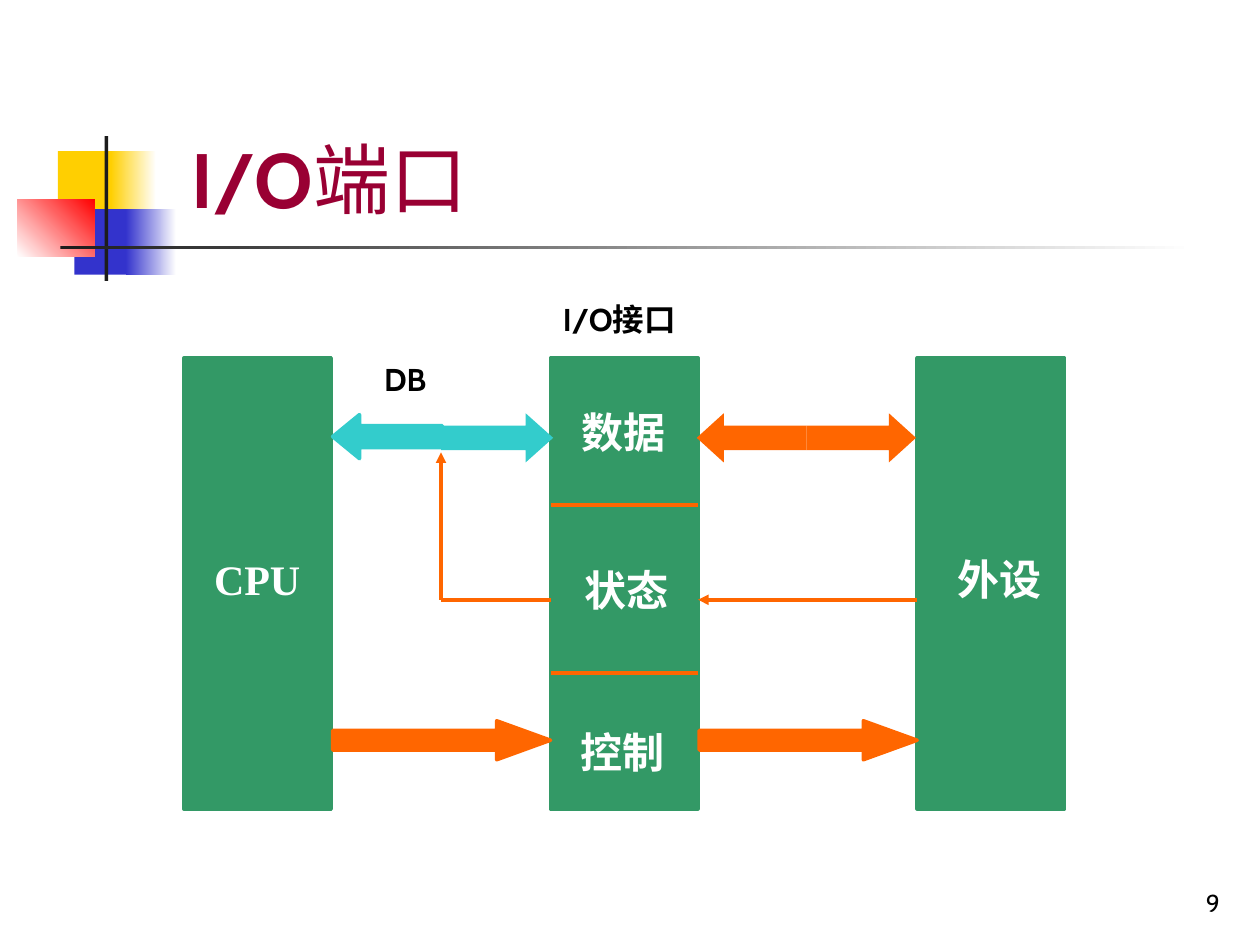
from pptx import Presentation
from pptx.dml.color import RGBColor
from pptx.enum import shapes, text
from pptx.oxml import ns, xmlchemy
from pptx.util import Inches, Pt

WHITE = RGBColor(0xFF, 0xFF, 0xFF)
BLACK = RGBColor(0x00, 0x00, 0x00)
INK = RGBColor(0x1C, 0x1C, 0x1C)
YELLOW = RGBColor(0xFF, 0xCF, 0x01)
BLUE = RGBColor(0x33, 0x33, 0xCC)
RED = RGBColor(0xFF, 0x00, 0x00)
CRIMSON = RGBColor(0x99, 0x00, 0x33)
GREEN = RGBColor(0x33, 0x99, 0x66)
ORANGE = RGBColor(0xFF, 0x66, 0x00)
TEAL = RGBColor(0x33, 0xCC, 0xCC)

SANS, SERIF = "Cabin", "Times New Roman"
RECT = shapes.MSO_SHAPE.RECTANGLE
LEFT = shapes.MSO_SHAPE.LEFT_ARROW
RIGHT = shapes.MSO_SHAPE.RIGHT_ARROW

# Decoration: left, top, width, height, colours (two make a gradient), angle
ORNAMENTS = [
    (0.46, 1.2, 0.48, 0.52, [YELLOW], 0),
    (0.88, 1.2, 0.36, 0.52, [YELLOW, WHITE], 0),
    (0.59, 1.66, 0.46, 0.52, [BLUE], 0),
    (1, 1.66, 0.4, 0.52, [BLUE, WHITE], 0),
    (0.14, 1.58, 0.61, 0.46, [WHITE, RED], 45),
    (0.83, 1.08, 0.03, 1.15, [INK], 0),
    (0.48, 1.95, 9, 0.03, [INK, WHITE], 0),
]

# The three blocks: CPU, interface, peripheral
BLOCK_TOP, BLOCK_W, BLOCK_H = 2.84, 1.17, 3.58
BLOCK_LEFTS = [1.46 + 2.91 * i for i in range(3)]
CPU_X, PORT_X, DEVICE_X = BLOCK_LEFTS
PORT_RIGHT = PORT_X + BLOCK_W
PORT_DIVIDERS = [4.01, 5.34]

BLOCK_LABELS = [
    ("CPU", 1.6, 4.34),
    ("数据", 4.52, 3.18),
    ("状态", 4.54, 4.43),
    ("控制", 4.51, 5.72),
    ("外设", 7.5, 4.34),
]
CAPTIONS = [("I/O接口", 4.37, 2.33, 1.26), ("DB", 2.95, 2.81, 0.86)]

# Status path: start, end, has arrowhead
BUS_X, STATUS_Y = 3.5, 4.76
STATUS_LINES = [
    ((PORT_X, STATUS_Y), (BUS_X, STATUS_Y), False),
    ((DEVICE_X, STATUS_Y), (PORT_RIGHT, STATUS_Y), True),
    ((BUS_X, STATUS_Y), (BUS_X, 3.59), True),
]

# Block arrows: kind, left, top, width, height, head ratio, colour, outlined
ARROWS = [
    (RIGHT, 3.5, 3.28, 0.89, 0.39, 0.56, TEAL, False),
    (LEFT, 5.53, 3.28, 0.87, 0.39, 0.55, ORANGE, False),
    (RIGHT, 6.4, 3.28, 0.87, 0.39, 0.55, ORANGE, False),
    (LEFT, 2.64, 3.29, 0.87, 0.35, 0.61, TEAL, True),
    (RIGHT, 2.64, 5.72, 1.73, 0.31, 1.38, ORANGE, True),
    (RIGHT, 5.55, 5.72, 1.73, 0.31, 1.38, ORANGE, True),
]


def add_filled(slide, kind, box, colours, angle=0, outlined=False):
    shape = slide.shapes.add_shape(kind, *map(Inches, box))
    shape.shadow.inherit = False
    if len(colours) == 1:
        shape.fill.solid()
        shape.fill.fore_color.rgb = colours[0]
    else:
        shape.fill.gradient()
        shape.fill.gradient_angle = angle
        for stop, colour in zip(shape.fill.gradient_stops, colours):
            stop.color.rgb = colour
    if outlined:
        shape.line.color.rgb = colours[0]
        shape.line.width = Pt(2)
    else:
        shape.line.fill.background()
    return shape


def add_line(slide, start, end, arrowhead=False):
    line = slide.shapes.add_connector(
        shapes.MSO_CONNECTOR.STRAIGHT, *map(Inches, start + end))
    line.line.color.rgb = ORANGE
    line.line.width = Pt(2)
    if arrowhead:
        tail = xmlchemy.OxmlElement("a:tailEnd")
        tail.set("type", "triangle")
        line.line._get_or_add_ln().append(tail)
    line._element.find(ns.qn("p:spPr")).append(
        xmlchemy.OxmlElement("a:effectLst"))


def add_run(paragraph, words, size, font, colour, bold=True):
    run = paragraph.add_run()
    run.text = words
    run.font.size = Pt(size)
    run.font.name = font
    run.font.bold = bold
    run.font.color.rgb = colour


def add_label(slide, words, box, size, font, colour, bold=True):
    frame = slide.shapes.add_textbox(*map(Inches, box)).text_frame
    frame.word_wrap = True
    add_run(frame.paragraphs[0], words, size, font, colour, bold)
    return frame


def fill_title(title):
    title.left, title.top, title.width, title.height = map(
        Inches, (1.42, 0.23, 7.97, 1.6))
    frame = title.text_frame
    frame.auto_size = text.MSO_AUTO_SIZE.NONE
    frame.vertical_anchor = text.MSO_ANCHOR.BOTTOM
    heading = frame.paragraphs[0]
    heading.alignment = text.PP_ALIGN.LEFT
    add_run(heading, "I/O", 44, SANS, CRIMSON)
    add_run(heading, "端口", 44, SANS, CRIMSON, bold=False)


def main():
    deck = Presentation()
    deck.slide_width, deck.slide_height = Inches(10), Inches(7.5)
    slide = deck.slides.add_slide(deck.slide_layouts[5])

    for *box, colours, angle in ORNAMENTS:
        add_filled(slide, RECT, box, colours, angle)
    fill_title(slide.shapes.title)
    number = add_label(slide, "9", (7.7, 6.83, 2.08, 0.5), 14, SANS, BLACK,
                       bold=False)
    number.vertical_anchor = text.MSO_ANCHOR.BOTTOM
    number.paragraphs[0].alignment = text.PP_ALIGN.RIGHT

    for left in BLOCK_LEFTS:
        add_filled(slide, RECT, (left, BLOCK_TOP, BLOCK_W, BLOCK_H), [GREEN],
                   outlined=True)
    for y in PORT_DIVIDERS:
        add_line(slide, (PORT_X, y), (PORT_RIGHT, y))
    for words, left, top in BLOCK_LABELS:
        add_label(slide, words, (left, top, 1.02, 0.5), 24, SERIF, WHITE)
    for words, left, top, width in CAPTIONS:
        add_label(slide, words, (left, top, width, 0.4), 18, SANS, BLACK)

    for start, end, arrowhead in STATUS_LINES:
        add_line(slide, start, end, arrowhead)
    for kind, *box, head, colour, outlined in ARROWS:
        arrow = add_filled(slide, kind, box, [colour], outlined=outlined)
        arrow.adjustments[0] = 0.5
        arrow.adjustments[1] = head

    deck.save("out.pptx")


if __name__ == "__main__":
    main()
